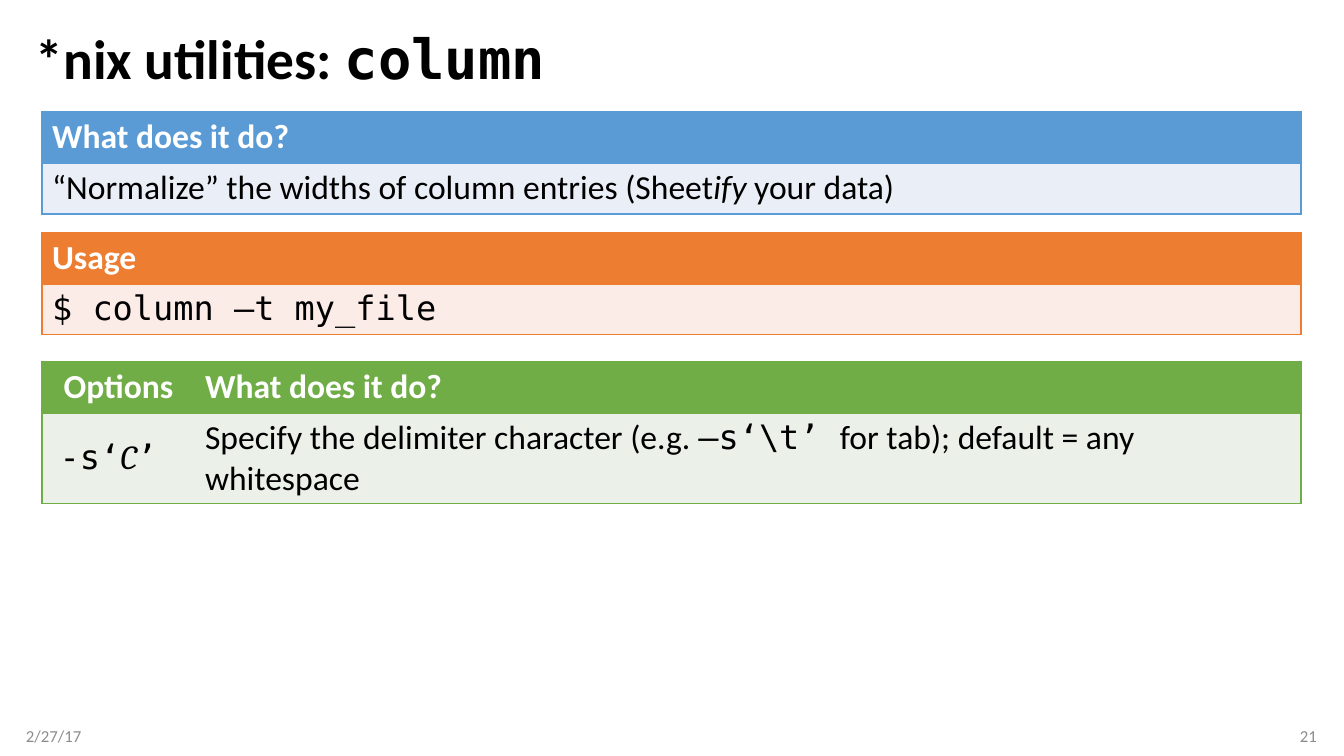
from dataclasses import dataclass
from lxml.etree import SubElement
from pptx import Presentation
from pptx.dml.color import RGBColor
from pptx.enum.text import MSO_ANCHOR, PP_ALIGN
from pptx.oxml.ns import qn
from pptx.util import Emu, Pt

EMU_PER_PIXEL = 914400 / 100.8


@dataclass(frozen=True)
class Theme:
    sans: str = "Calibri"
    mono: str = "DejaVu Sans Mono"
    serif: str = "Cambria"
    ink: str = "000000"
    light: str = "FFFFFF"
    muted: str = "8C8C8C"
    purpose: tuple = ("5B9BD5", "EAEFF7")
    usage: tuple = ("ED7D31", "FCECE8")
    options: tuple = ("70AD47", "EBF1E9")
    title_size: float = 39.6
    body_size: float = 24
    footer_size: float = 12


THEME = Theme()
TITLE = {"size": Pt(THEME.title_size), "name": THEME.sans, "bold": True}
BODY = {"size": Pt(THEME.body_size), "name": THEME.sans, "bold": False}
HEADING = BODY | {"bold": True}
FOOTER = {"size": Pt(THEME.footer_size), "name": THEME.sans}
MONO = {"name": THEME.mono}
ITALIC = {"italic": True}


def px(pixels):
    return Emu(round(pixels * EMU_PER_PIXEL))


def assign(target, values):
    for attribute, value in values.items():
        setattr(target, attribute, value)


def write(paragraph, pieces, base, color, **layout):
    assign(paragraph, layout)
    for wording, changes in pieces:
        run = paragraph.add_run()
        run.text = wording
        assign(run.font, base | changes)
        run.font.color.rgb = RGBColor.from_string(color)


def add_line(slide, box, pieces, base, color, margins, **layout):
    frame = slide.shapes.add_textbox(*map(px, box)).text_frame
    assign(frame, {"word_wrap": True, "vertical_anchor": MSO_ANCHOR.MIDDLE} | margins)
    write(frame.paragraphs[0], pieces, base, color, **layout)


def add_title(slide, box):
    pieces = [("*nix utilities: ", {}), ("column", MONO)]
    add_line(slide, box, pieces, TITLE, THEME.ink, {}, line_spacing=0.9)


def add_footer(slide, box):
    left, top, width, height = box
    part = 302
    add_line(slide, (left, top, part, height), [("2/27/17", {})], FOOTER,
             THEME.muted, {"margin_left": 0})
    add_line(slide, (left + width - part, top, part, height), [("21", {})], FOOTER,
             THEME.muted, {"margin_right": 0}, alignment=PP_ALIGN.RIGHT)


def draw_borders(cell, color, hidden):
    properties = cell._tc.get_or_add_tcPr()
    for side in "LRTB":
        border = SubElement(properties, qn(f"a:ln{side}"), w=str(Pt(1)))
        if side in hidden:
            SubElement(border, qn("a:noFill"))
        else:
            fill = SubElement(border, qn("a:solidFill"))
            SubElement(fill, qn("a:srgbClr"), val=color)


def add_panel(slide, box, colors, columns, heights, rows,
              alignments=(PP_ALIGN.LEFT,), anchor=MSO_ANCHOR.TOP):
    table = slide.shapes.add_table(len(rows), len(columns), *map(px, box)).table
    assign(table, {"first_row": False, "horz_banding": False})
    for column, width in zip(table.columns, columns):
        column.width = px(width)
    styles = ((HEADING, THEME.light), (BODY, THEME.ink))
    last = len(columns) - 1
    for r, (row, height, fill, (base, color)) in enumerate(
            zip(rows, heights, colors, styles)):
        table.rows[r].height = px(height)
        for c, (pieces, alignment) in enumerate(zip(row, alignments)):
            cell = table.cell(r, c)
            cell.vertical_anchor = anchor
            hidden = ("L" if c > 0 else "") + ("R" if c < last else "")
            draw_borders(cell, colors[0], hidden)
            cell.fill.solid()
            cell.fill.fore_color.rgb = RGBColor.from_string(fill)
            write(cell.text_frame.paragraphs[0], pieces, base, color,
                  alignment=alignment)


def add_purpose(slide, box):
    rows = [
        [[("What does it do?", {})]],
        [[("“Normalize” the widths of column entries (Sheet", {}),
          ("ify", ITALIC), (" your data)", {})]],
    ]
    add_panel(slide, box, THEME.purpose, [box[2]], [51, 51], rows)


def add_usage(slide, box):
    rows = [[[("Usage", {})]], [[("$ column –t my_file", MONO)]]]
    add_panel(slide, box, THEME.usage, [box[2]], [51, 49], rows)


def add_options(slide, box):
    rows = [
        [[("Options", {})], [("What does it do?", {})]],
        [[("-s‘", MONO), ("C", ITALIC | {"name": THEME.serif}), ("’ ", MONO)],
         [("Specify the delimiter character (e.g. ", {}), ("–s‘\\t’ ", MONO),
          ("for tab); default = any whitespace", {})]],
    ]
    option_width = 153
    add_panel(slide, box, THEME.options, [option_width, box[2] - option_width],
              [51, 51], rows, (PP_ALIGN.CENTER, PP_ALIGN.LEFT), MSO_ANCHOR.MIDDLE)


presentation = Presentation()
assign(presentation, {"slide_width": px(1344), "slide_height": px(756)})
utility_slide = presentation.slides.add_slide(presentation.slide_layouts[6])
add_title(utility_slide, (26, 25, 1291, 73))
add_purpose(utility_slide, (42, 112, 1259, 102))
add_usage(utility_slide, (42, 233, 1259, 100))
add_options(utility_slide, (42, 362, 1259, 102))
add_footer(utility_slide, (26, 716, 1291, 40))
presentation.save("out.pptx")
